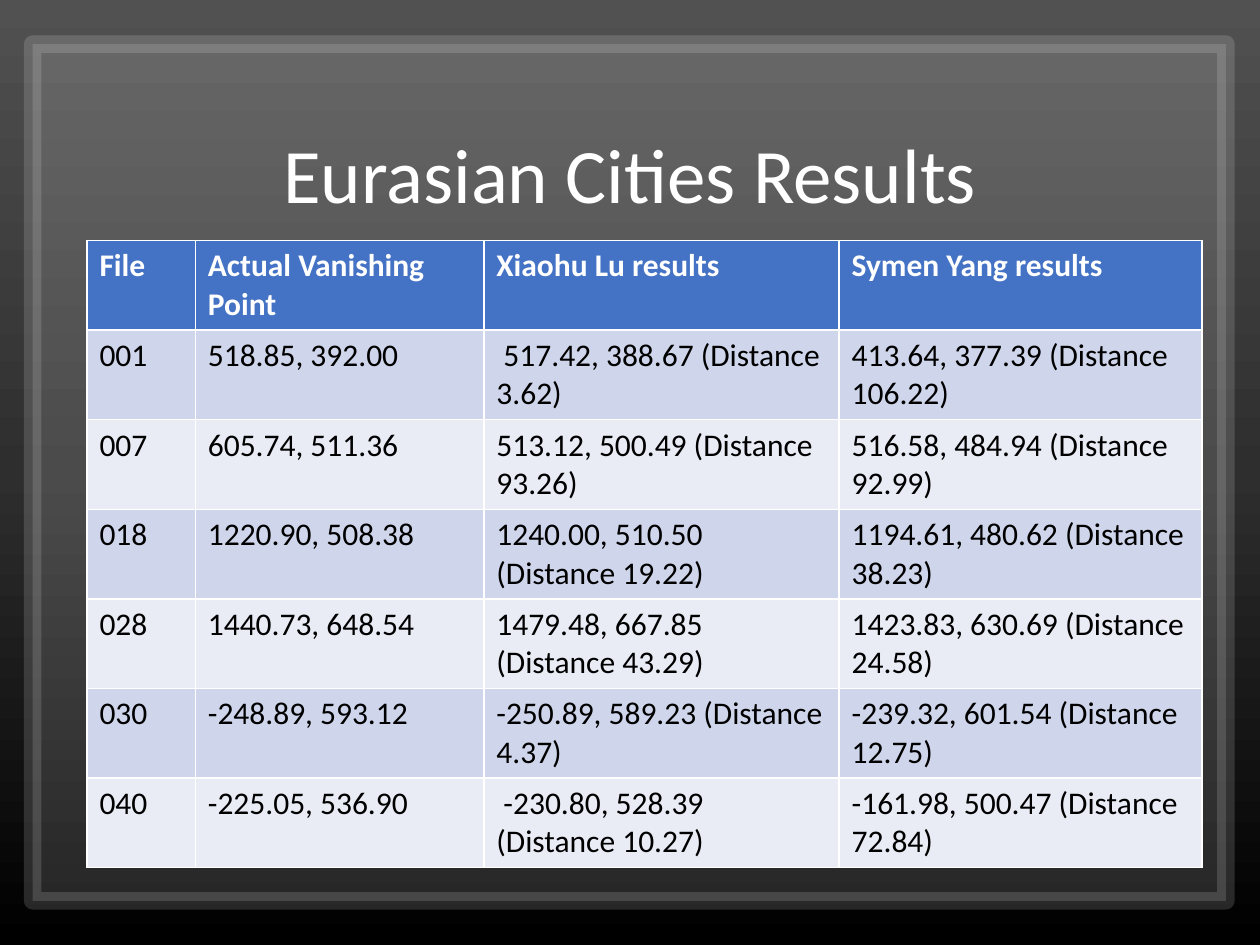
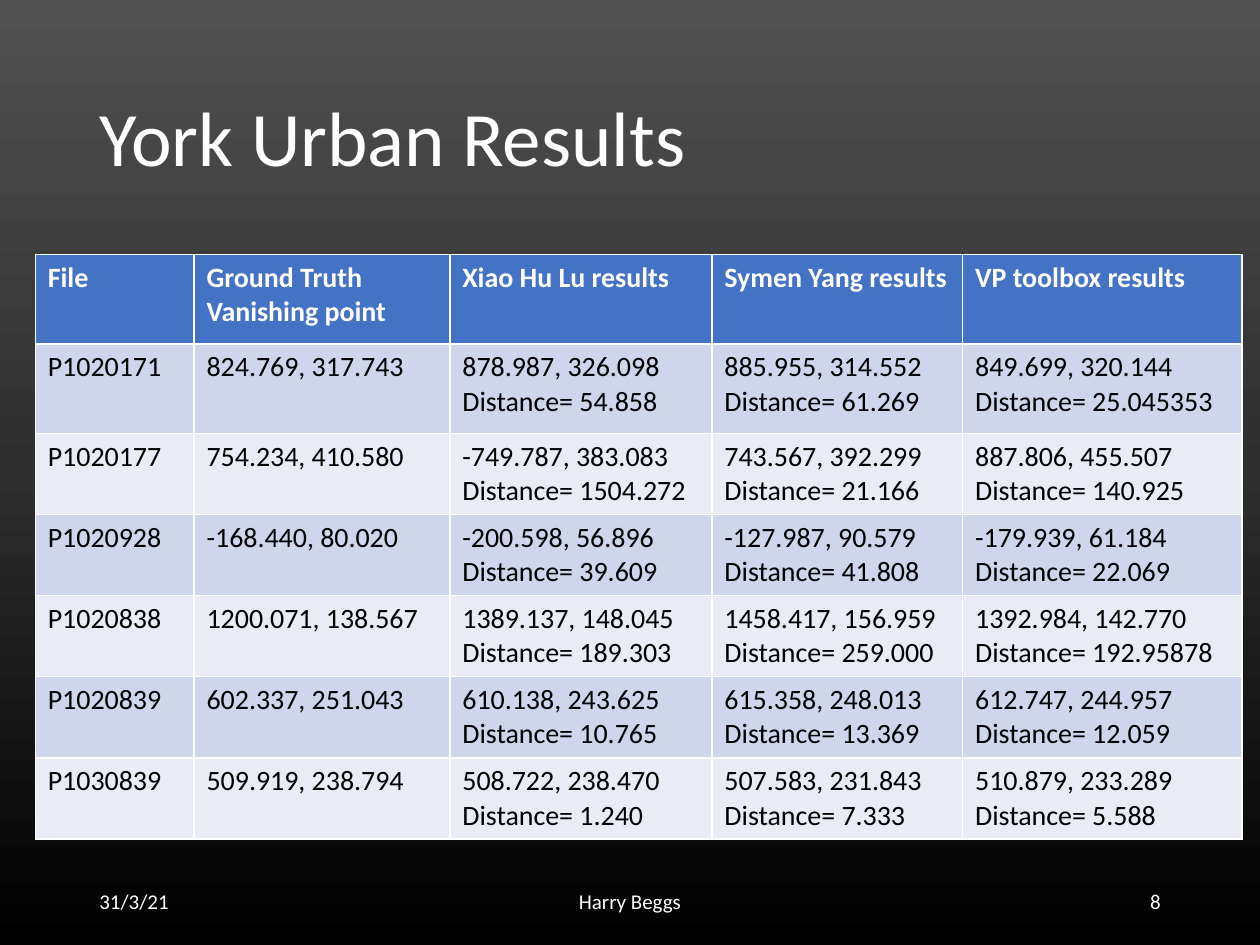
from copy import deepcopy

from lxml import etree
from pptx import Presentation
from pptx.dml.color import RGBColor
from pptx.enum.shapes import MSO_SHAPE
from pptx.enum.text import MSO_ANCHOR, MSO_AUTO_SIZE, PP_ALIGN
from pptx.oxml.ns import qn
from pptx.util import Inches, Pt

LEFT, CENTER, RIGHT = PP_ALIGN.LEFT, PP_ALIGN.CENTER, PP_ALIGN.RIGHT
MIDDLE = MSO_ANCHOR.MIDDLE
NO_AUTOFIT = MSO_AUTO_SIZE.NONE
RECTANGLE = MSO_SHAPE.RECTANGLE

FONT = "Calibri"
WHITE, BLACK = "FFFFFF", "000000"
HEADER_FILL = "4472C4"
BAND_FILLS = ("CFD5EA", "E9EBF5")
BACKGROUND_STOPS = ((0, "515151"), (0.5, "2E2E2E"), (1, BLACK))
TITLE_ONLY_LAYOUT = 5
MARGIN, TITLE_WIDTH, TITLE_HEIGHT = 0.69, 8.62, 1.45

EURASIAN_CITIES = {
    "title": "Eurasian Cities Results",
    "title_top": 0.69,
    "title_alignment": CENTER,
    "table_at": (0.69, 1.91),
    "columns": (0.86, 2.29, 2.82, 2.88),
    "row_heights": [0.71] * 7,
    "size": 18,
    "rows": [
        ("File", "Actual Vanishing Point", "Xiaohu Lu results", "Symen Yang results"),
        ("001", "518.85, 392.00", " 517.42, 388.67 (Distance 3.62)",
         "413.64, 377.39 (Distance 106.22)"),
        ("007", "605.74, 511.36", "513.12, 500.49 (Distance 93.26)",
         "516.58, 484.94 (Distance 92.99)"),
        ("018", "1220.90, 508.38", "1240.00, 510.50 (Distance 19.22)",
         "1194.61, 480.62 (Distance 38.23)"),
        ("028", "1440.73, 648.54", "1479.48, 667.85 (Distance 43.29)",
         "1423.83, 630.69 (Distance 24.58)"),
        ("030", "-248.89, 593.12", "-250.89, 589.23 (Distance 4.37)",
         "-239.32, 601.54 (Distance 12.75)"),
        ("040", "-225.05, 536.90", " -230.80, 528.39 (Distance 10.27)",
         "-161.98, 500.47 (Distance 72.84)"),
    ],
}

YORK_URBAN = {
    "title": "York Urban Results",
    "title_top": 0.4,
    "title_alignment": LEFT,
    "table_at": (0.28, 2.02),
    "columns": (1.26, 2.03, 2.08, 1.99, 2.22),
    "row_heights": [0.71] * 2 + [0.64] * 5,
    "size": 16,
    "rows": [
        ("File", "Ground Truth Vanishing point", "Xiao Hu Lu results",
         "Symen Yang results", "VP toolbox results"),
        ("P1020171", "824.769, 317.743", "878.987, 326.098\nDistance= 54.858",
         "885.955, 314.552\nDistance= 61.269", "849.699, 320.144\nDistance= 25.045353"),
        ("P1020177", "754.234, 410.580", "-749.787, 383.083\nDistance= 1504.272",
         "743.567, 392.299\nDistance= 21.166", "887.806, 455.507\nDistance= 140.925"),
        ("P1020928", "-168.440, 80.020", "-200.598, 56.896\nDistance= 39.609",
         "-127.987, 90.579\nDistance= 41.808", "-179.939, 61.184\nDistance= 22.069"),
        ("P1020838", "1200.071, 138.567", "1389.137, 148.045\nDistance= 189.303",
         "1458.417, 156.959\nDistance= 259.000", "1392.984, 142.770\nDistance= 192.95878"),
        ("P1020839", "602.337, 251.043", "610.138, 243.625\nDistance= 10.765",
         "615.358, 248.013\nDistance= 13.369", "612.747, 244.957\nDistance= 12.059"),
        ("P1030839", "509.919, 238.794", "508.722, 238.470\nDistance= 1.240",
         "507.583, 231.843\nDistance= 7.333", "510.879, 233.289\nDistance= 5.588"),
    ],
}

# text, left, width, alignment
FOOTERS = [
    ("31/3/21", 0.69, 2.25, LEFT),
    ("Harry Beggs", 3.31, 3.38, CENTER),
    ("8", 7.06, 2.25, RIGHT),
]


def color(hex_value):
    return RGBColor.from_string(hex_value)


def format_text(text_frame, size, hex_value, alignment=LEFT, bold=False):
    for paragraph in text_frame.paragraphs:
        paragraph.alignment = alignment
        font = paragraph.font
        font.name, font.size, font.bold = FONT, Pt(size), bold
        font.color.rgb = color(hex_value)


def set_background(master):
    fill = master.background.fill
    fill.gradient()
    fill.gradient_angle = 270
    stop_list = master.element.xpath("./p:cSld/p:bg//a:gsLst")[0]
    stop_list.append(deepcopy(stop_list[0]))
    for stop, (position, hex_value) in zip(fill.gradient_stops, BACKGROUND_STOPS):
        stop.position = position
        stop.color.rgb = color(hex_value)


def add_title(slide, content):
    title = slide.shapes.title
    title.left, title.top = Inches(MARGIN), Inches(content["title_top"])
    title.width, title.height = Inches(TITLE_WIDTH), Inches(TITLE_HEIGHT)
    text_frame = title.text_frame
    text_frame.text = content["title"]
    text_frame.auto_size = NO_AUTOFIT
    text_frame.vertical_anchor = MIDDLE
    text_frame.paragraphs[0].line_spacing = 0.9
    format_text(text_frame, 44, WHITE, content["title_alignment"])


def add_results_table(slide, content):
    rows, columns, heights = content["rows"], content["columns"], content["row_heights"]
    left, top = content["table_at"]
    table = slide.shapes.add_table(
        len(rows), len(columns), Inches(left), Inches(top),
        Inches(sum(columns)), Inches(sum(heights))).table
    for column, width in zip(table.columns, columns):
        column.width = Inches(width)
    for row_index, (row, height, texts) in enumerate(zip(table.rows, heights, rows)):
        row.height = Inches(height)
        is_header = row_index == 0
        fill = HEADER_FILL if is_header else BAND_FILLS[(row_index - 1) % 2]
        for cell, text in zip(row.cells, texts):
            cell.text = text
            cell.fill.solid()
            cell.fill.fore_color.rgb = color(fill)
            format_text(cell.text_frame, content["size"],
                        WHITE if is_header else BLACK, bold=is_header)


def add_frame(slide):
    """Add the translucent panel with its wide translucent border."""
    frame = slide.shapes.add_shape(
        RECTANGLE, Inches(0.26), Inches(0.35), Inches(9.47), Inches(6.8))
    frame.shadow.inherit = False
    frame.line.width = Pt(10)
    for fill, percent in ((frame.fill, 14), (frame.line.fill, 15)):
        fill.solid()
        fill.fore_color.rgb = color(WHITE)
    fills = frame.element.spPr.iter(qn("a:srgbClr"))
    for color_element, percent in zip(list(fills), (14, 15)):
        etree.SubElement(color_element, qn("a:alpha"), val=str(percent * 1000))
    slide.shapes.title.element.addprevious(frame.element)


def add_footers(slide):
    for text, left, width, alignment in FOOTERS:
        text_frame = slide.shapes.add_textbox(
            Inches(left), Inches(6.95), Inches(width), Inches(0.4)).text_frame
        text_frame.word_wrap = True
        text_frame.vertical_anchor = MIDDLE
        text_frame.text = text
        format_text(text_frame, 12, WHITE, alignment)


def add_results_slide(presentation, content):
    slide = presentation.slides.add_slide(presentation.slide_layouts[TITLE_ONLY_LAYOUT])
    add_title(slide, content)
    add_results_table(slide, content)
    return slide


def main():
    presentation = Presentation()
    presentation.slide_width, presentation.slide_height = Inches(10), Inches(7.5)
    set_background(presentation.slide_master)
    add_frame(add_results_slide(presentation, EURASIAN_CITIES))
    add_footers(add_results_slide(presentation, YORK_URBAN))
    presentation.save("out.pptx")


if __name__ == "__main__":
    main()
